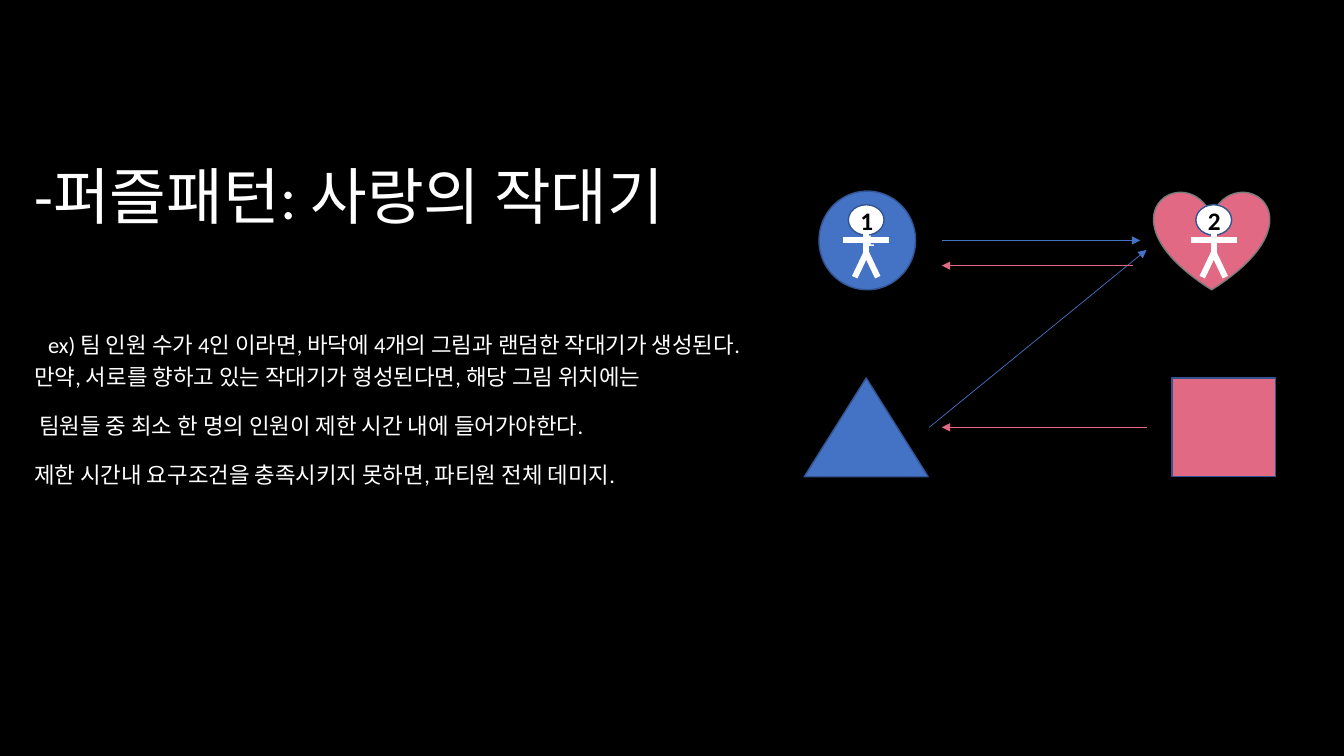
from pptx import Presentation
from pptx import util as u
from pptx.dml.color import RGBColor
from pptx.enum import shapes, text
from pptx.oxml import parse_xml
from pptx.oxml.ns import nsdecls, qn

PX = 9525  # EMU in one px, 96 px to the inch
FONT = "Calibri"
BLACK = RGBColor(0x00, 0x00, 0x00)
WHITE = RGBColor(0xFF, 0xFF, 0xFF)
BLUE = RGBColor(0x44, 0x72, 0xC4)
NAVY = RGBColor(0x32, 0x54, 0x91)
PINK = RGBColor(0xE1, 0x69, 0x83)
GREY = RGBColor(0x7A, 0x7A, 0x7A)

HEADING = "-퍼즐패턴: 사랑의 작대기"
RULES = [
    "ex) 팀 인원 수가 4인 이라면, 바닥에 4개의 그림과 랜덤한 작대기가 생성된다. "
    "만약, 서로를 향하고 있는 작대기가 형성된다면, 해당 그림 위치에는",
    " 팀원들 중 최소 한 명의 인원이 제한 시간 내에 들어가야한다.",
    "제한 시간내 요구조건을 충족시키지 못하면, 파티원 전체 데미지.",
]


def px(*lengths):
    return [n * PX for n in lengths]


def style(r, size, color, bold=False):
    r.font.name = FONT
    r.font.size = u.Pt(size)
    r.font.bold = bold
    r.font.color.rgb = color


def add_figure(s, kind, x, y, w, h, fill, outline):
    sp = s.shapes.add_shape(kind, *px(x, y, w, h))
    sp.shadow.inherit = False
    sp.fill.solid()
    sp.fill.fore_color.rgb = fill
    sp.line.color.rgb = outline
    sp.line.width = u.Pt(1)


def add_line(s, x1, y1, x2, y2, color, width, arrow=False):
    line = s.shapes.add_connector(shapes.MSO_CONNECTOR.STRAIGHT,
                                  *px(x1, y1, x2, y2))
    line.line.color.rgb = color
    line.line.width = u.Pt(width)
    sp_pr = line._element.spPr
    if arrow:
        sp_pr.find(qn("a:ln")).append(
            parse_xml(f'<a:tailEnd {nsdecls("a")} type="triangle"/>'))
    sp_pr.append(parse_xml(f'<a:effectLst {nsdecls("a")}/>'))


def add_number(s, x, y, w, h, number, color, bold):
    tf = s.shapes.add_textbox(*px(x, y, w, h)).text_frame
    tf.word_wrap = True
    tf.text = number
    style(tf.paragraphs[0].runs[0], 18, color, bold)


def add_title(s, x, y, w, h):
    """Heading and the rules of the pattern, in one title placeholder."""
    title = s.shapes.title
    title.left, title.top, title.width, title.height = px(x, y, w, h)
    tf = title.text_frame
    tf.auto_size = text.MSO_AUTO_SIZE.NONE
    tf.word_wrap = True
    tf.vertical_anchor = text.MSO_ANCHOR.TOP
    tf.margin_top = 103 * PX
    tf.text = HEADING
    style(tf.paragraphs[0].runs[0], 44, WHITE)
    for i, rule in enumerate(RULES):
        p = tf.add_paragraph()
        p.space_before = u.Pt(17.6 if i else 48.3)
        if i == 0:  # a large space opens the example
            r = p.add_run()
            r.text = " "
            style(r, 44, WHITE)
        r = p.add_run()
        r.text = rule
        style(r, 16, WHITE)
    for p in tf.paragraphs:
        p.alignment = text.PP_ALIGN.LEFT
        p.line_spacing = 0.9


def add_person(s, x, y, number):
    """Stick person whose head has its top left corner at x, y."""
    add_figure(s, shapes.MSO_SHAPE.OVAL, x, y, 34, 29, WHITE, NAVY)
    body, legs, arms = (17, 22, 17, 47), (17, 46), (-5, 34, 39, 34)
    feet = [(*legs, foot, 69) for foot in (6, 28)]
    for x1, y1, x2, y2 in (body, *feet, arms):
        add_line(s, x + x1, y + y1, x + x2, y + y2, WHITE, 4.25)
    add_number(s, x + 2, y - 4, 31, 38, number, BLACK, True)


def add_diagram(s, x, y):
    """Four floor figures, the sticks between them and two people."""
    kind = shapes.MSO_SHAPE
    row2 = y + 178
    add_figure(s, kind.OVAL, x + 14, y, 92, 94, BLUE, NAVY)
    add_figure(s, kind.ISOSCELES_TRIANGLE, x, row2, 118, 94, BLUE, NAVY)
    add_figure(s, kind.HEART, x + 333, y, 110, 94, PINK, GREY)
    add_figure(s, kind.RECTANGLE, x + 350, row2, 99, 94, PINK, NAVY)

    for x1, y1, x2, y2, color in [
        (119, 225, 326, 56, BLUE),
        (131, 47, 320, 47, BLUE),
        (326, 225, 131, 225, PINK),
        (313, 71, 131, 71, PINK),
    ]:
        add_line(s, x + x1, y + y1, x + x2, y + y2, color, 0.5, arrow=True)

    add_number(s, x + 46, y + 24, 21, 38, "1", WHITE, False)
    add_person(s, x + 42, y + 13, "1")
    add_person(s, x + 373, y + 13, "2")


def main():
    prs = Presentation()
    prs.slide_width, prs.slide_height = px(1280, 720)
    s = prs.slides.add_slide(prs.slide_layouts[5])
    s.background.fill.solid()
    s.background.fill.fore_color.rgb = BLACK
    add_title(s, 23, 55, 708, 564)
    add_diagram(s, 766, 182)
    prs.save("out.pptx")


if __name__ == "__main__":
    main()
